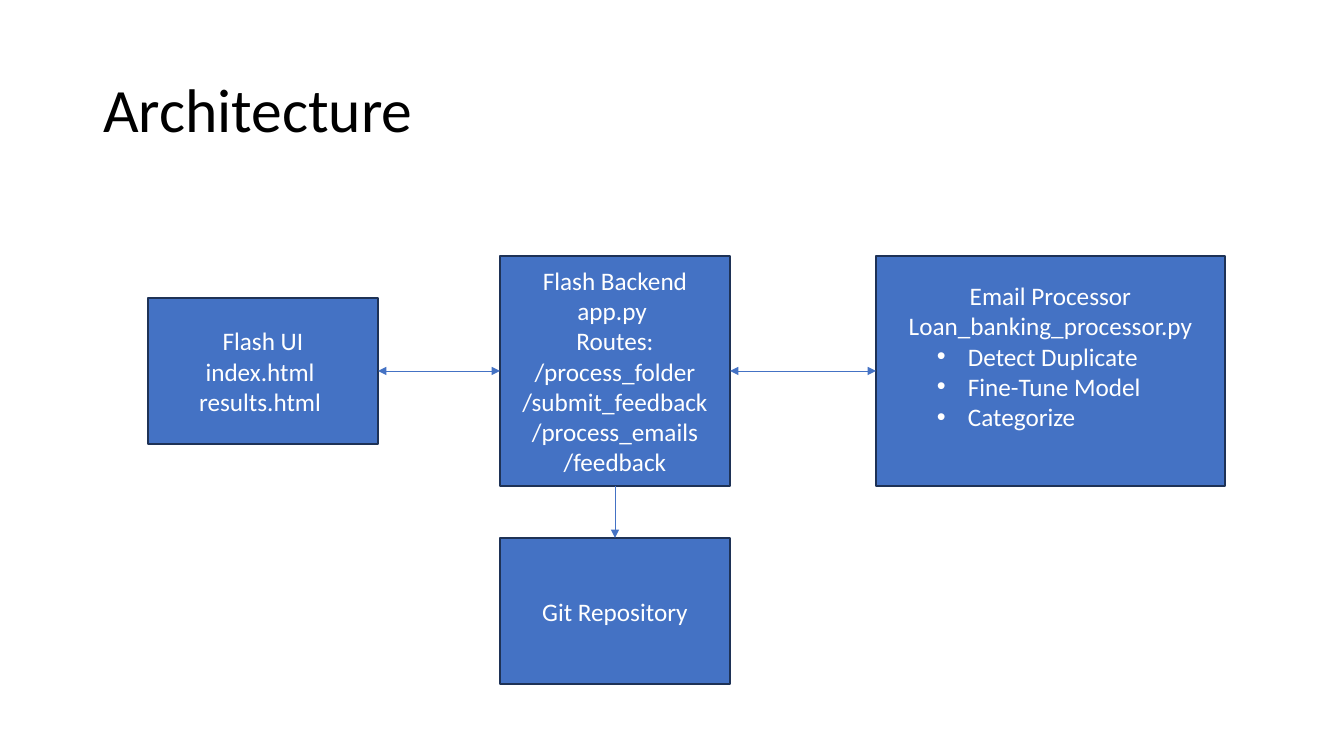
from lxml.etree import SubElement
from pptx import Presentation
from pptx.dml.color import RGBColor
from pptx.enum.shapes import MSO_CONNECTOR, MSO_SHAPE
from pptx.enum.text import MSO_ANCHOR, PP_ALIGN
from pptx.oxml.ns import qn
from pptx.util import Pt

SCALE = 914400 / 100.8
BLUE = RGBColor(0x44, 0x72, 0xC4)
NAVY = RGBColor(0x1E, 0x32, 0x56)
WHITE = RGBColor(0xFF, 0xFF, 0xFF)
BLACK = RGBColor(0, 0, 0)
FONT = "Calibri"
TOP, LEFT, BOTTOM, RIGHT = range(4)


def px(count):
    return round(count * SCALE)


def style(para, size, color, align):
    para.alignment = align
    para.font.name = FONT
    para.font.size = Pt(size)
    para.font.color.rgb = color


def add_title(slide, text, left, top, width, height):
    title = slide.shapes.title
    title.left, title.top = px(left), px(top)
    title.width, title.height = px(width), px(height)
    frame = title.text_frame
    frame.text = text
    frame.vertical_anchor = MSO_ANCHOR.MIDDLE
    para = frame.paragraphs[0]
    para.line_spacing = 0.9
    style(para, 44, BLACK, PP_ALIGN.LEFT)


def add_bullet(para):
    props = para._p.get_or_add_pPr()
    props.set("marL", str(px(82)))
    props.set("indent", str(px(-31)))
    SubElement(props, qn("a:buFont"), typeface="Arial")
    SubElement(props, qn("a:buChar"), char="•")


def add_box(slide, left, top, width, height, lines, items=()):
    box = slide.shapes.add_shape(
        MSO_SHAPE.RECTANGLE, px(left), px(top), px(width), px(height))
    box.shadow.inherit = False
    box.fill.solid()
    box.fill.fore_color.rgb = BLUE
    box.line.color.rgb = NAVY
    box.line.width = Pt(1)
    frame = box.text_frame
    frame.word_wrap = True
    frame.vertical_anchor = MSO_ANCHOR.MIDDLE
    frame.text = "\n".join([*lines, *items])
    for index, para in enumerate(frame.paragraphs):
        if index < len(lines):
            style(para, 18, WHITE, PP_ALIGN.CENTER)
        else:
            para.level = 1
            style(para, 18, WHITE, PP_ALIGN.LEFT)
            add_bullet(para)
    return box


def add_arrow(slide, start, exit_side, end, entry_side, ends):
    arrow = slide.shapes.add_connector(MSO_CONNECTOR.STRAIGHT, 0, 0, 0, 0)
    arrow.begin_connect(start, exit_side)
    arrow.end_connect(end, entry_side)
    arrow.line.color.rgb = BLUE
    arrow.line.width = Pt(0.5)
    line = arrow.line._get_or_add_ln()
    for tag in ends:
        SubElement(line, qn(tag), type="triangle")
    SubElement(arrow._element.spPr, qn("a:effectLst"))


def main():
    deck = Presentation()
    deck.slide_width, deck.slide_height = px(1344), px(756)
    slide = deck.slides.add_slide(deck.slide_layouts[5])
    add_title(slide, "Architecture", 93, 40, 1159, 146)

    front = add_box(slide, 148, 298, 230, 146,
                    ["Flash UI", "index.html ", "results.html "])
    back = add_box(slide, 500, 256, 230, 230, [
        "Flash Backend", "app.py ", "Routes:", "/process_folder",
        "/submit_feedback", "/process_emails", "/feedback"])
    email = add_box(slide, 876, 256, 349, 230,
                    ["Email Processor", "Loan_banking_processor.py"],
                    ["Detect Duplicate", "Fine-Tune Model", "Categorize"])
    email.text_frame.margin_bottom = px(35)
    store = add_box(slide, 500, 538, 230, 146, ["Git Repository"])

    both = ("a:headEnd", "a:tailEnd")
    add_arrow(slide, front, RIGHT, back, LEFT, both)
    add_arrow(slide, back, RIGHT, email, LEFT, both)
    add_arrow(slide, back, BOTTOM, store, TOP, both[1:])
    deck.save("out.pptx")


if __name__ == "__main__":
    main()
